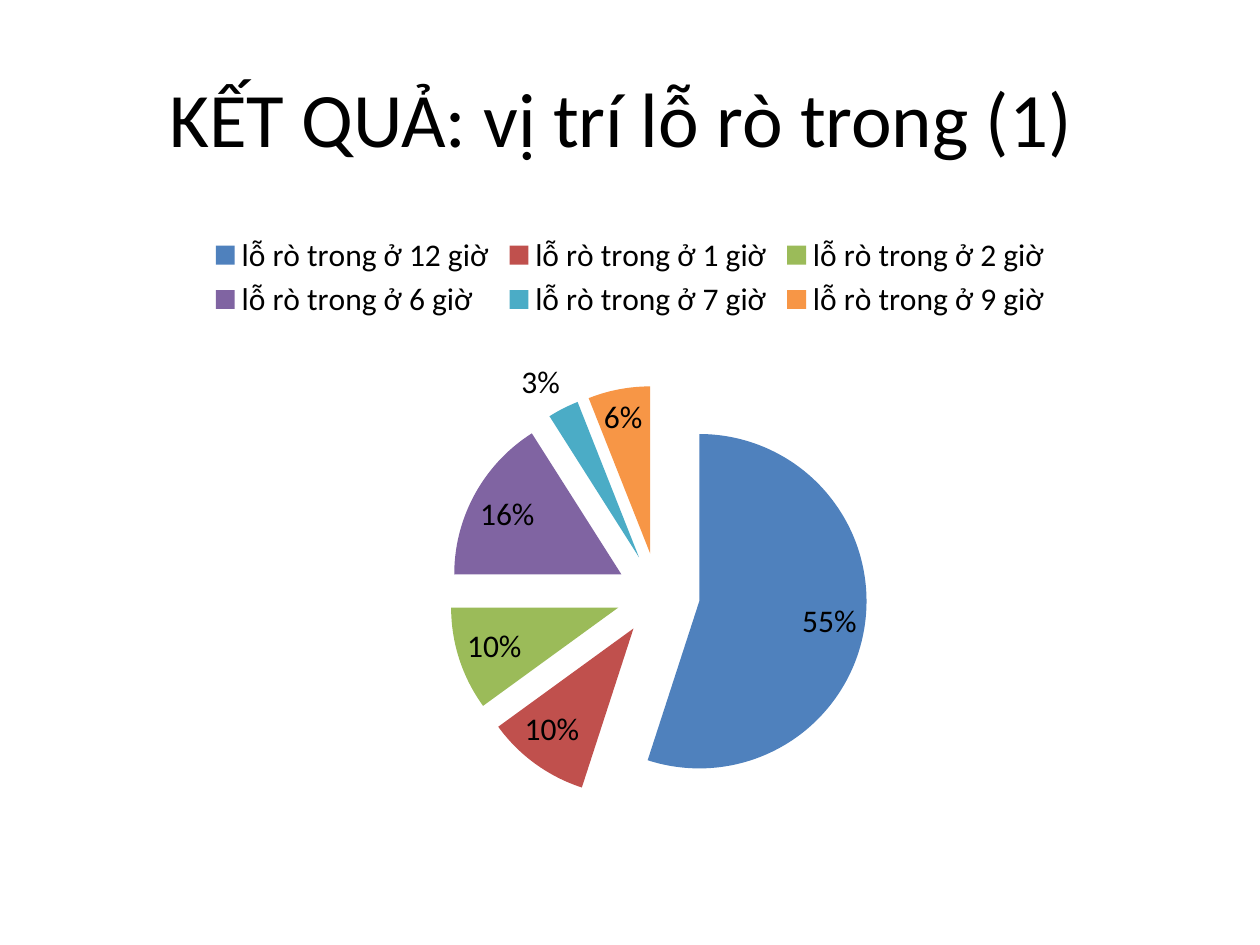
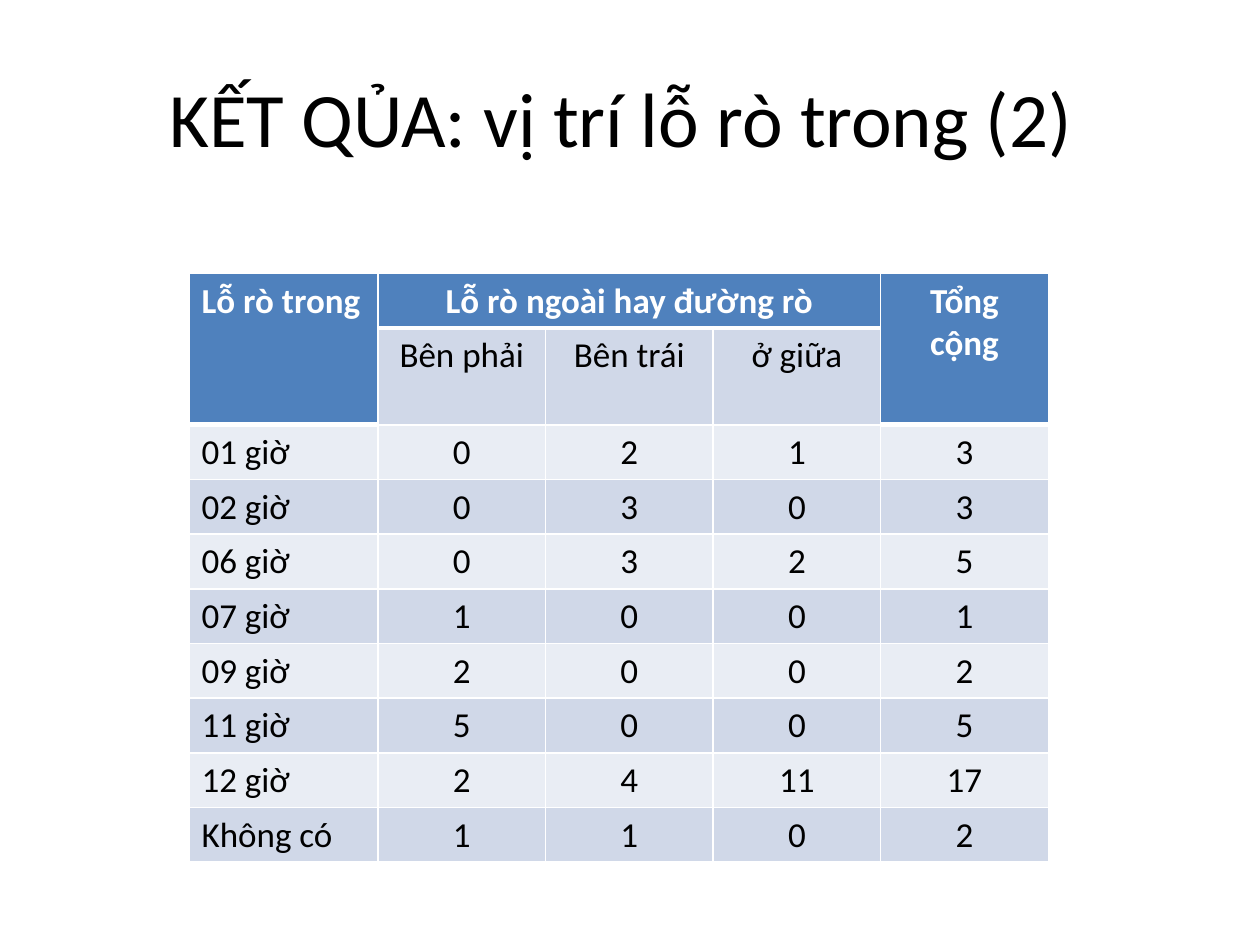
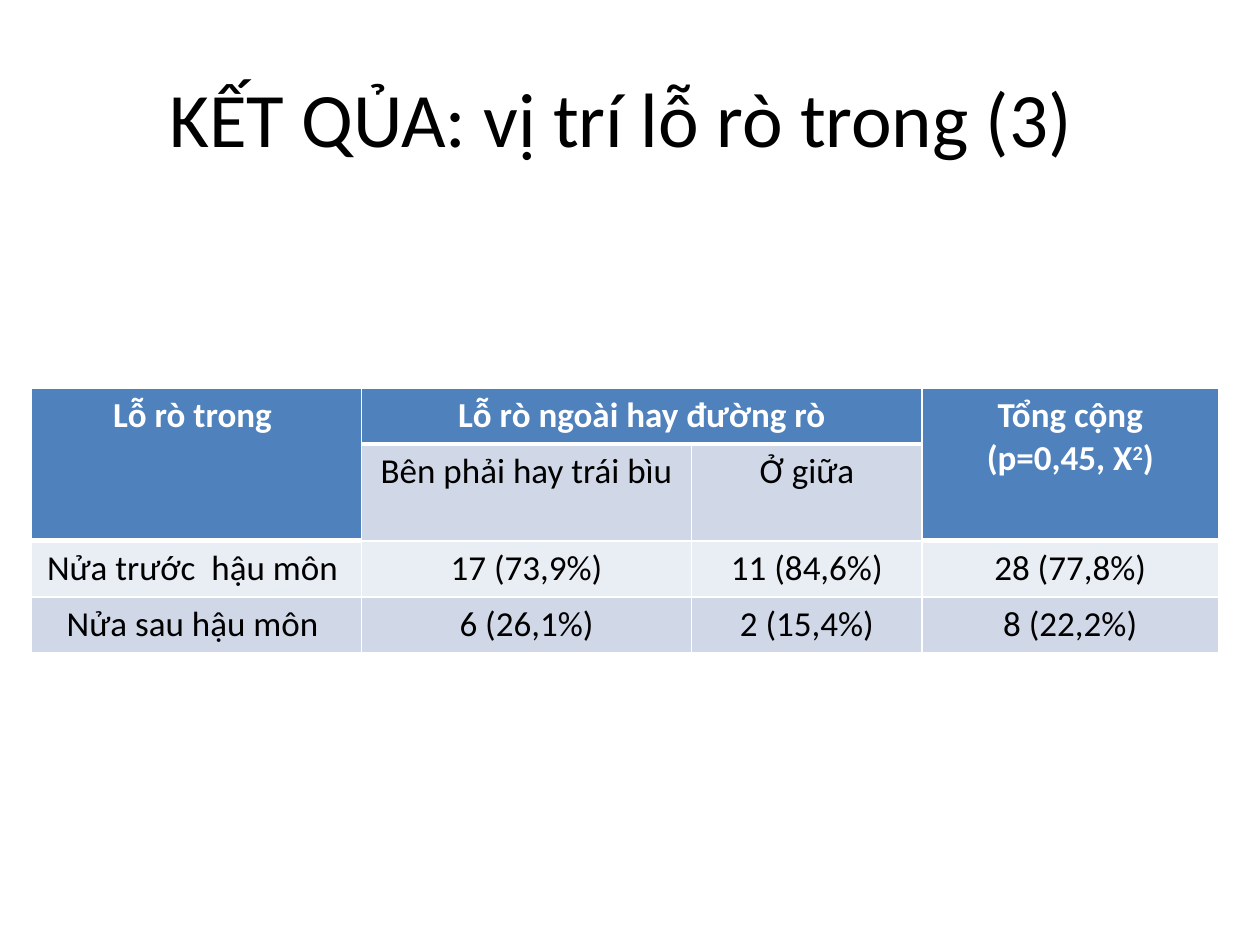
"""Builds three result slides on internal opening positions."""
from pptx import Presentation
from pptx import util as u
from pptx.chart import data as chart_data
from pptx.dml.color import RGBColor
from pptx.enum import chart as charts, text
from pptx.oxml import parse_xml
from pptx.oxml.ns import nsdecls

FONT = "Calibri"
BLACK, WHITE = "000000", "FFFFFF"
HEADER, BAND_DARK, BAND_LIGHT = "4F81BD", "D0D8E8", "E9EDF4"
SLICES = ["4F81BD", "C0504D", "9BBB59", "8064A2", "4BACC6", "F79646"]
CENTER, LEFT = text.PP_ALIGN.CENTER, text.PP_ALIGN.LEFT


def rgb(value):
    """Turn a hex string into a colour."""
    return RGBColor.from_string(value)


def style_font(font, size, color=BLACK, bold=False):
    """Set typeface, size, colour and weight."""
    font.name, font.size, font.bold = FONT, u.Pt(size), bold
    font.color.rgb = rgb(color)


def write(frame, content, size=20, color=BLACK, bold=False, align=CENTER):
    """Write one paragraph a line; text between carets is superscript."""
    for index, line in enumerate(content.split("\n")):
        paragraph = frame.add_paragraph() if index else frame.paragraphs[0]
        paragraph.alignment = align
        for part, words in enumerate(line.split("^")):
            run = paragraph.add_run()
            run.text = words
            style_font(run.font, size, color, bold)
            if part % 2:
                run.font._element.set("baseline", "30000")


def draw_borders(cell, top, bottom):
    """Give a cell white borders, with widths in points."""
    properties = cell._tc.get_or_add_tcPr()
    widths = {"lnL": 1, "lnR": 1, "lnT": top, "lnB": bottom}
    for position, (tag, width) in enumerate(widths.items()):
        properties.insert(position, parse_xml(
            f'<a:{tag} {nsdecls("a")} w="{u.Pt(width)}"><a:solidFill>'
            f'<a:srgbClr val="{WHITE}"/></a:solidFill></a:{tag}>'))


class Deck:
    """Holds the presentation, its style and the current slide."""

    def __init__(self):
        """Start an empty 10 by 7.5 inch presentation."""
        self.presentation = Presentation()
        self.presentation.slide_width = u.Inches(10)
        self.presentation.slide_height = u.Inches(7.5)

    def add_slide(self, title):
        """Start a slide with a centred title."""
        layout = self.presentation.slide_layouts[6]
        self.slide = self.presentation.slides.add_slide(layout)
        box = self.slide.shapes.add_textbox(
            u.Inches(0.5), u.Inches(0.3), u.Inches(9), u.Inches(1.25))
        box.text_frame.word_wrap = True
        box.text_frame.vertical_anchor = text.MSO_ANCHOR.MIDDLE
        write(box.text_frame, title, size=44)

    def add_pie(self, shares):
        """Draw an exploded pie with a legend on top."""
        data = chart_data.CategoryChartData()
        data.categories = list(shares)
        data.add_series("Series 1", list(shares.values()))
        chart = self.slide.shapes.add_chart(
            charts.XL_CHART_TYPE.PIE, u.Inches(0.5), u.Inches(1.75),
            u.Inches(9), u.Inches(4.95), data).chart
        chart.has_title = False
        style_font(chart.font, 18)
        chart.has_legend = True
        chart.legend.position = charts.XL_LEGEND_POSITION.TOP
        chart.legend.include_in_layout = False
        style_font(chart.legend.font, 18)
        plot = chart.plots[0]
        plot.vary_by_categories = True
        plot.has_data_labels = True
        labels = plot.data_labels
        labels.show_percentage, labels.show_value = True, False
        labels.number_format, labels.number_format_is_linked = "0%", False
        labels.position = charts.XL_LABEL_POSITION.BEST_FIT
        style_font(labels.font, 18)
        series = plot.series[0]
        series.format.fill.solid()
        series.format.fill.fore_color.rgb = rgb(SLICES[0])
        series._element.spPr.addnext(
            parse_xml(f'<c:explosion {nsdecls("c")} val="25"/>'))
        for index, color in enumerate(SLICES):
            fill = series.points[index].format.fill
            fill.solid()
            fill.fore_color.rgb = rgb(color)

    def add_table(self, left, top, height, widths, rows, first_align=CENTER):
        """Draw a banded table whose first two rows form the header."""
        last = len(widths) - 1
        table = self.slide.shapes.add_table(
            len(rows), len(widths), u.Inches(left), u.Inches(top),
            u.Inches(sum(widths)), u.Inches(height)).table
        table.first_row = table.horz_banding = False
        for column, width in zip(table.columns, widths):
            column.width = u.Inches(width)
        table.cell(0, 0).merge(table.cell(1, 0))
        table.cell(0, 1).merge(table.cell(0, last - 1))
        table.cell(0, last).merge(table.cell(1, last))

        def is_header(row, column):
            return row == 0 or row == 1 and column in (0, last)

        for row, values in enumerate(rows):
            for column, value in enumerate(values):
                cell, header = table.cell(row, column), is_header(row, column)
                band = BAND_DARK if row % 2 else BAND_LIGHT
                cell.fill.solid()
                cell.fill.fore_color.rgb = rgb(HEADER if header else band)
                below_header = row > 0 and is_header(row - 1, column)
                draw_borders(cell, 3 if below_header else 1, 3 if header else 1)
                if value:
                    write(cell.text_frame, value, bold=header,
                          color=WHITE if header else BLACK,
                          align=CENTER if column else first_align)


def main():
    """Build and save the slides."""
    deck = Deck()
    deck.add_slide("KẾT QUẢ: vị trí lỗ rò trong (1) ")
    shares = {12: 55, 1: 10, 2: 10, 6: 16, 7: 3, 9: 6}
    deck.add_pie({f"lỗ rò trong ở {hour} giờ": share
                  for hour, share in shares.items()})

    deck.add_slide("KẾT QỦA: vị trí lỗ rò trong (2) ")
    deck.add_table(1.5, 2.17, 4.33, [1.5] + [1.33] * 4, [
        ["Lỗ rò trong", "Lỗ rò ngoài hay đường rò", "", "", "Tổng cộng"],
        ["", "Bên phải", "Bên trái", "ở giữa", ""],
        ["01 giờ", "0", "2", "1", "3"],
        ["02 giờ", "0", "3", "0", "3"],
        ["06 giờ", "0", "3", "2", "5"],
        ["07 giờ", "1", "0", "0", "1"],
        ["09 giờ", "2", "0", "0", "2"],
        ["11 giờ", "5", "0", "0", "5"],
        ["12 giờ", "2", "4", "11", "17"],
        ["Không có", "1", "1", "0", "2"],
    ], first_align=LEFT)

    deck.add_slide("KẾT QỦA: vị trí lỗ rò trong (3) ")
    deck.add_table(0.25, 3.08, 1.78, [2.62, 2.62, 1.83, 2.35], [
        ["Lỗ rò trong ", "Lỗ rò ngoài hay đường rò", "",
         "Tổng cộng\n(p=0,45, X^2^)"],
        ["", "Bên phải hay trái bìu", "Ở giữa", ""],
        ["Nửa trước  hậu môn ", "17 (73,9%)", "11 (84,6%)", "28 (77,8%)"],
        ["Nửa sau hậu môn ", "6 (26,1%)", "2 (15,4%)", "8 (22,2%)"],
    ])
    deck.presentation.save("out.pptx")


if __name__ == "__main__":
    main()
